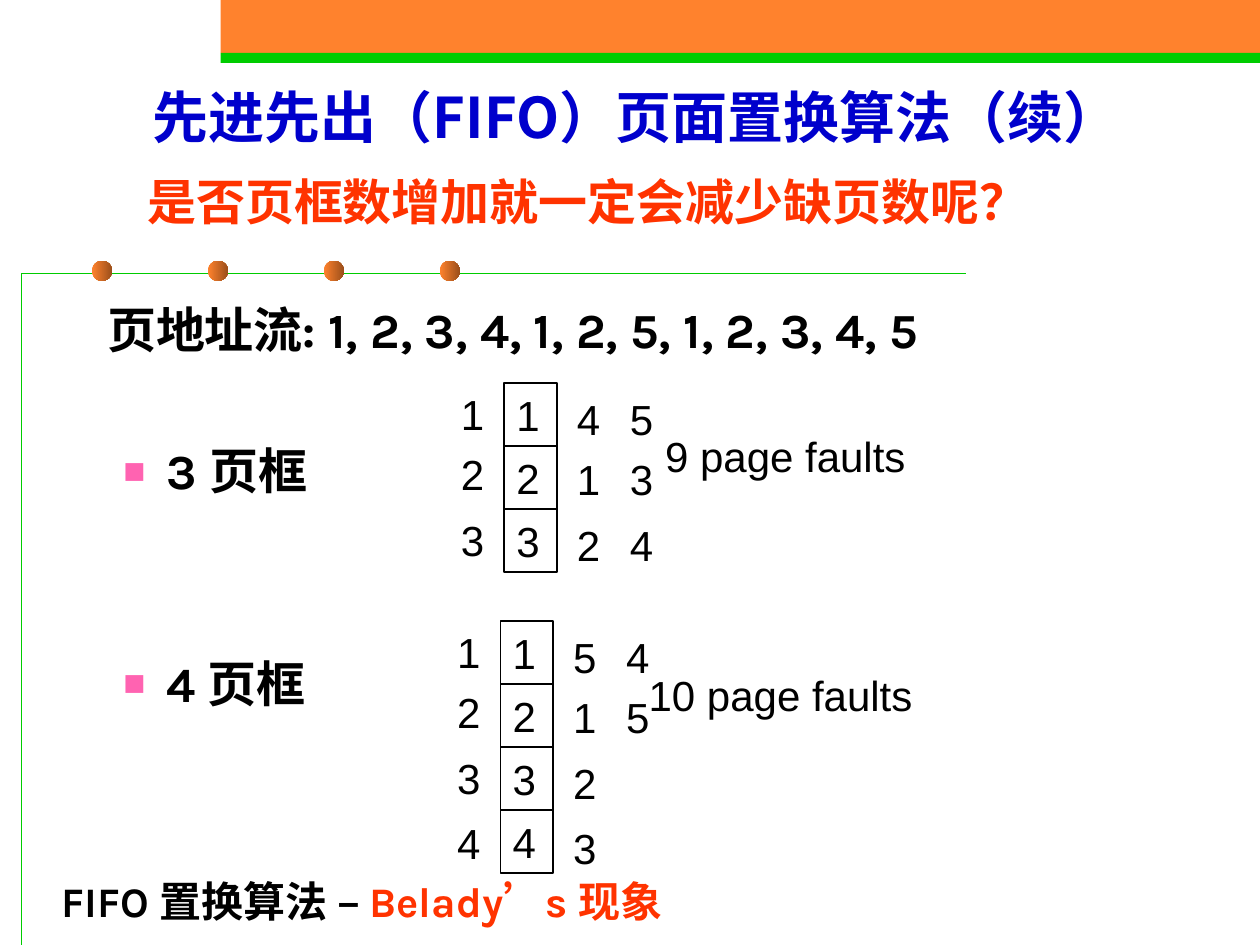
from lxml import etree
from pptx import Presentation
from pptx.dml.color import RGBColor
from pptx.enum.shapes import MSO_CONNECTOR, MSO_SHAPE
from pptx.enum.text import MSO_ANCHOR, MSO_AUTO_SIZE, PP_ALIGN
from pptx.oxml.ns import qn
from pptx.util import Inches, Pt

RECT, OVAL, STRAIGHT = MSO_SHAPE.RECTANGLE, MSO_SHAPE.OVAL, MSO_CONNECTOR.STRAIGHT
MIDDLE, TOP = MSO_ANCHOR.MIDDLE, MSO_ANCHOR.TOP
FIT, FIXED = MSO_AUTO_SIZE.SHAPE_TO_FIT_TEXT, MSO_AUTO_SIZE.NONE
LEFT, CENTER = PP_ALIGN.LEFT, PP_ALIGN.CENTER

COLORS = {
    "orange": "FF822D", "brown": "9B4F1B", "green": "00CC00", "blue": "0000CC",
    "red": "FF3300", "pink": "FF63B1", "black": "000000", "white": "FFFFFF",
}
RGB = {name: RGBColor.from_string(value) for name, value in COLORS.items()}
CJK = "Noto Sans CJK SC"


def style(p, size, font="Arial", color="black", bold=False):
    """Format every run of a paragraph, with the CJK font for Chinese text."""
    for r in p.runs:
        r.font.size, r.font.name, r.font.bold = Pt(size), font, bold
        r.font.color.rgb = RGB[color]
        for old in r._r.rPr.findall(qn("a:ea")):
            r._r.rPr.remove(old)
        latin = r._r.rPr.find(qn("a:latin"))
        latin.addnext(etree.Element(qn("a:ea"), typeface=CJK))


def add_label(text, x, y, w, h=0.5, boxed=False):
    """Add a 24 pt label, optionally inside a page-frame box."""
    box = Inches(x), Inches(y), Inches(w), Inches(h)
    if boxed:
        sp = slide.shapes.add_shape(RECT, *box)
        sp.shadow.inherit = False
        sp.fill.solid()
        sp.fill.fore_color.rgb = RGB["white"]
        sp.line.color.rgb = RGB["black"]
        sp.line.width = Pt(0.75)
    else:
        sp = slide.shapes.add_textbox(*box)
    tf = sp.text_frame
    tf.text = text
    tf.word_wrap = False
    tf.auto_size = FIXED if boxed else FIT
    tf.vertical_anchor = MIDDLE
    tf.paragraphs[0].alignment = LEFT
    style(tf.paragraphs[0], 24)
    return sp


prs = Presentation()
prs.slide_width, prs.slide_height = Inches(10), Inches(7.5)
slide = prs.slides.add_slide(prs.slide_layouts[1])

# Banner, corner lines and beads
for y, h, color in [(0, 0.42, "orange"), (0.42, 0.08, "green")]:
    sp = slide.shapes.add_shape(RECT, Inches(1.75), Inches(y), Inches(8.25), Inches(h))
    sp.shadow.inherit = False
    sp.fill.solid()
    sp.fill.fore_color.rgb = RGB[color]
    sp.line.fill.background()

for end_x, end_y in [(0.17, 7.5), (7.67, 2.17)]:
    line = slide.shapes.add_connector(
        STRAIGHT, Inches(0.17), Inches(2.17), Inches(end_x), Inches(end_y))
    line.line.color.rgb = RGB["green"]
    line.line.width = Pt(0.75)
    etree.SubElement(line._element.spPr, qn("a:effectLst"))

for i in range(4):
    bead = slide.shapes.add_shape(
        OVAL, Inches(0.73 + 0.92 * i), Inches(2.07), Inches(0.16), Inches(0.16))
    bead.shadow.inherit = False
    bead.fill.gradient()
    bead.fill.gradient_angle = 0
    for stop, color in zip(bead.fill.gradient_stops, ("orange", "brown")):
        stop.color.rgb = RGB[color]
    bead.line.fill.background()

# Title and subtitle
title = slide.shapes.title
title.left, title.top = Inches(0.83), Inches(0.54)
title.width, title.height = Inches(8.44), Inches(0.77)
tf = title.text_frame
tf.text = "先进先出（FIFO）页面置换算法（续）"
tf.auto_size = FIXED
tf.vertical_anchor = MIDDLE
tf.paragraphs[0].alignment = CENTER
style(tf.paragraphs[0], 32, CJK, "blue", True)

subtitle = add_label("是否页框数增加就一定会减少缺页数呢？", 1.07, 1.31, 7.19, 0.57)
subtitle.text_frame.vertical_anchor = TOP
style(subtitle.text_frame.paragraphs[0], 28, "Arial", "red", True)

# Reference string and the two cases
body = slide.placeholders[1]
body.left, body.top = Inches(0.75), Inches(2.33)
body.width, body.height = Inches(8.98), Inches(4.6)
tf = body.text_frame
tf.auto_size = FIXED
tf.vertical_anchor = TOP
lines = [
    ("页地址流: 1, 2, 3, 4, 1, 2, 5, 1, 2, 3, 4, 5", 0, False),
    ("3 页框", 47, True),
    ("4 页框", 88, True),
]
for i, (text, before, bulleted) in enumerate(lines):
    p = tf.paragraphs[0] if i == 0 else tf.add_paragraph()
    p.text = text
    p.space_before = Pt(before)
    pPr = p._p.get_or_add_pPr()
    pPr.set("marL", str(Inches(0.47 if bulleted else 0)))
    pPr.set("indent", str(Inches(-0.34 if bulleted else 0)))
    if bulleted:
        color = etree.SubElement(pPr, qn("a:buClr"))
        etree.SubElement(color, qn("a:srgbClr"), val=COLORS["pink"])
        etree.SubElement(pPr, qn("a:buSzPct"), val="75000")
        etree.SubElement(pPr, qn("a:buFont"), typeface="Arial")
        etree.SubElement(pPr, qn("a:buChar"), char="■")
    else:
        etree.SubElement(pPr, qn("a:buNone"))
    style(p, 28, "Karla", "black", True)

# Page frames: frame number, first page, then the pages that replace it
ROW_OFFSETS = (0, 0.48, 1.0, 1.52)
cases = [
    (4.0, 3.04, ["145", "213", "324"]),
    (3.97, 4.93, ["154", "215", "32", "43"]),
]
for x, y, rows in cases:
    for i, pages in enumerate(rows):
        row_y = y + ROW_OFFSETS[i]
        add_label(pages[0], x, y + 0.5 * i, 0.42, boxed=True)
        add_label(str(i + 1), x - 0.44, row_y - 0.01, 0.38)
        for j, page in enumerate(pages[1:]):
            add_label(page, x + 0.48 + 0.42 * j, row_y + 0.03, 0.38)

add_label("9 page faults", 5.18, 3.37, 2.11)
add_label("10 page faults", 5.05, 5.26, 2.34)

# Conclusion
sp = add_label("", 0.39, 6.9, 9.61)
sp.text_frame.word_wrap = True
sp.text_frame.vertical_anchor = TOP
p = sp.text_frame.paragraphs[0]
for text in ("FIFO 置换算法 ", "– ", "Belady", "’", "s 现象"):
    p.add_run().text = text
style(p, 24, "Karla", "black", True)
for r in p.runs[2:]:
    r.font.color.rgb = RGB["red"]
for i in (1, 3):
    p.runs[i].font.name = "Arial"

prs.save("out.pptx")
